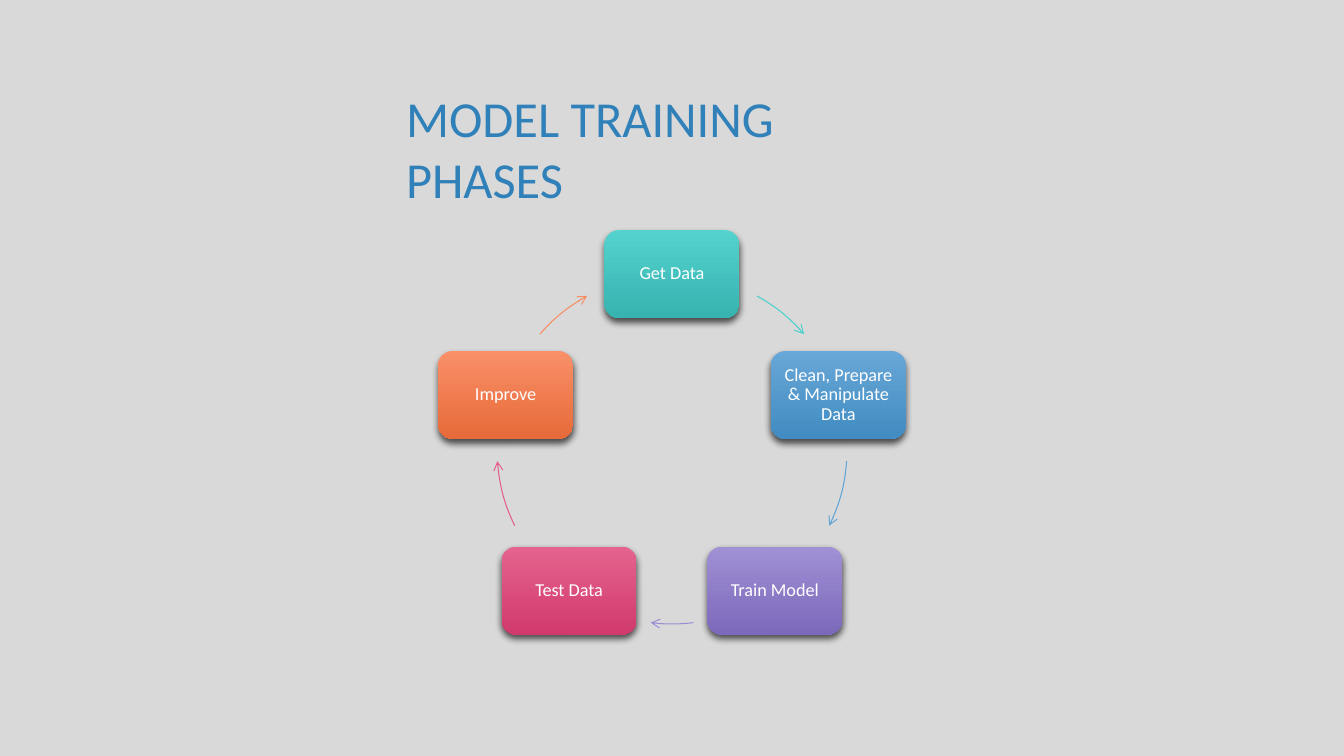
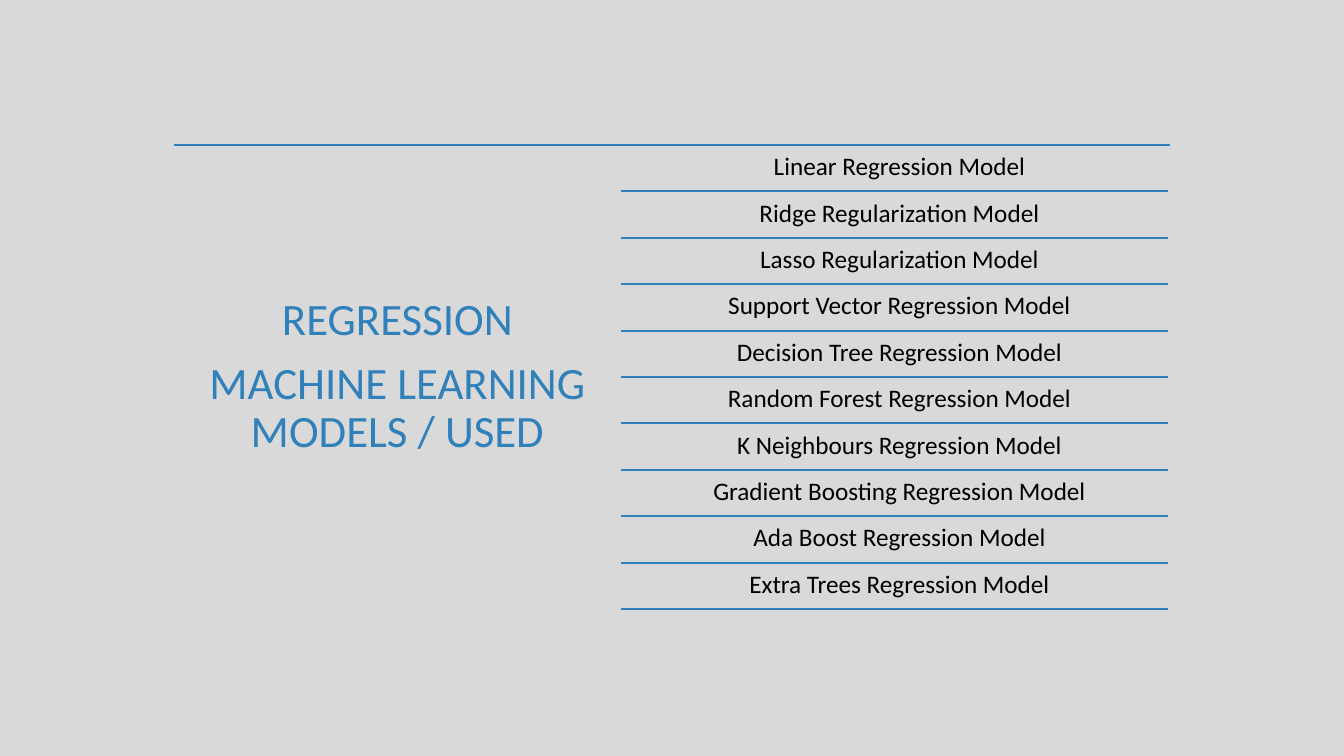
import math

from lxml import etree
from pptx import Presentation
from pptx import util as u
from pptx.dml.color import RGBColor
from pptx.enum import shapes, text
from pptx.oxml.ns import qn

EMU_PER_PX = 914400 / 100.8
SLIDE_W, SLIDE_H = 1344, 756
FONT = "Calibri"

BACKGROUND = RGBColor(0xD9, 0xD9, 0xD9)
ACCENT = RGBColor(0x30, 0x80, 0xB9)
BLACK = RGBColor(0x00, 0x00, 0x00)
WHITE = RGBColor(0xFF, 0xFF, 0xFF)

TEAL = RGBColor(0x53, 0xD2, 0xCE), RGBColor(0x37, 0xB3, 0xB0), RGBColor(0x49, 0xD1, 0xCD)
BLUE = RGBColor(0x68, 0xA7, 0xD7), RGBColor(0x41, 0x8C, 0xC2), RGBColor(0x61, 0xA5, 0xD6)
PURPLE = RGBColor(0xA0, 0x90, 0xD4), RGBColor(0x7D, 0x69, 0xBB), RGBColor(0x9D, 0x8C, 0xD3)
PINK = RGBColor(0xE5, 0x63, 0x8E), RGBColor(0xD1, 0x3A, 0x6D), RGBColor(0xE4, 0x5C, 0x8A)
ORANGE = RGBColor(0xF9, 0x90, 0x68), RGBColor(0xE7, 0x6A, 0x39), RGBColor(0xF9, 0x8C, 0x61)

# Label, (gradient top, gradient bottom, arrow), arrow start and end in degrees
PHASES = [
    ("Get Data", TEAL, (299, 319)),
    ("Clean, Prepare & Manipulate Data", BLUE, (4, 26)),
    ("Train Model", PURPLE, (83, 97)),
    ("Test Data", PINK, (154, 176)),
    ("Improve", ORANGE, (221, 241)),
]
MODELS = [
    "Linear Regression Model",
    "Ridge Regularization Model",
    "Lasso Regularization Model",
    "Support Vector Regression Model",
    "Decision Tree Regression Model",
    "Random Forest Regression Model",
    "K Neighbours Regression Model",
    "Gradient Boosting Regression Model",
    "Ada Boost Regression Model",
    "Extra Trees Regression Model",
]


def px(n):
    return u.Emu(round(n * EMU_PER_PX))


def add_slide(prs):
    slide = prs.slides.add_slide(prs.slide_layouts[6])
    slide.background.fill.solid()
    slide.background.fill.fore_color.rgb = BACKGROUND
    return slide


def write(sp, lines, size, color, inset, anchor=text.MSO_ANCHOR.MIDDLE,
          align=text.PP_ALIGN.CENTER, spacing=0.9):
    """Fill a shape with paragraphs that share one style."""
    tf = sp.text_frame
    tf.word_wrap = True
    tf.vertical_anchor = anchor
    tf.margin_left = tf.margin_right = tf.margin_top = tf.margin_bottom = px(inset)
    tf.text = "\n".join(lines)
    for p in tf.paragraphs:
        p.alignment = align
        p.line_spacing = spacing
        p.space_after = u.Pt(round(size * 0.35))
        p.font.name = FONT
        p.font.size = u.Pt(size)
        p.font.color.rgb = color


def add_text(slide, box, lines, size, color, inset, **style):
    sp = slide.shapes.add_textbox(*map(px, box))
    write(sp, lines, size, color, inset, **style)


def add_rule(slide, x1, x2, y):
    line = slide.shapes.add_connector(
        shapes.MSO_CONNECTOR.STRAIGHT, px(x1), px(y), px(x2), px(y))
    line.line.color.rgb = ACCENT
    line.line.width = u.Pt(1.5)
    etree.SubElement(line.element.spPr, qn("a:effectLst"))


def add_drop_shadow(sp):
    sp.shadow.inherit = False
    effects = sp.element.spPr.find(qn("a:effectLst"))
    shadow = etree.SubElement(
        effects, qn("a:outerShdw"), blurRad=str(u.Pt(5)), dist=str(u.Pt(3)),
        dir="5400000", algn="ctr", rotWithShape="0")
    black = etree.SubElement(shadow, qn("a:srgbClr"), val=str(BLACK))
    etree.SubElement(black, qn("a:alpha"), val="65000")


def add_node(slide, cx, cy, label, top, bottom, w=135, h=88):
    sp = slide.shapes.add_shape(
        shapes.MSO_SHAPE.ROUNDED_RECTANGLE,
        px(cx - w / 2), px(cy - h / 2), px(w), px(h))
    sp.fill.gradient()
    sp.fill.gradient_angle = 270
    for stop, color, position in zip(sp.fill.gradient_stops, (top, bottom), (0, 1)):
        stop.color.rgb = color
        stop.position = position
    sp.line.fill.background()
    add_drop_shadow(sp)
    write(sp, [label], 13, WHITE, 5)


def add_arc_arrow(slide, box, angles, color):
    """Draw a clockwise arrow along the circle inscribed in the box."""
    sp = slide.shapes.add_shape(shapes.MSO_SHAPE.ARC, *map(px, box))
    for i, degrees in enumerate(angles):
        sp.adjustments[i] = degrees * 0.6
    sp.fill.background()
    sp.line.color.rgb = color
    sp.line.width = u.Pt(0.75)
    sp.shadow.inherit = False
    etree.SubElement(sp.element.spPr.find(qn("a:ln")), qn("a:tailEnd"), type="arrow")


def add_cycle(slide, box):
    """Space the phases evenly on the circle inscribed in the box."""
    x, y, size, _ = box
    radius = size / 2
    for i, (label, (top, bottom, arrow), angles) in enumerate(PHASES):
        turn = math.tau * i / len(PHASES)
        add_node(slide, x + radius + radius * math.sin(turn),
                 y + radius - radius * math.cos(turn), label, top, bottom)
        add_arc_arrow(slide, box, angles, arrow)


def add_model_list(slide, box, heading_w=447):
    """Put a heading on the left and ruled rows on the right."""
    x, y, w, h = box
    row_h = h / len(MODELS)
    rows_x, right = x + heading_w, x + w
    add_rule(slide, x, right, y)
    add_text(slide, (x, y, heading_w, h),
             ["REGRESSION", "MACHINE LEARNING MODELS / USED"], 32, ACCENT, 13)
    for i, model in enumerate(MODELS):
        top = y + i * row_h
        add_text(slide, (rows_x + 10, top + 2, right - rows_x - 12, row_h - 2),
                 [model], 18, BLACK, 7, anchor=text.MSO_ANCHOR.TOP)
        add_rule(slide, rows_x, right - 2, top + row_h)


def main():
    prs = Presentation()
    prs.slide_width, prs.slide_height = px(SLIDE_W), px(SLIDE_H)

    phases = add_slide(prs)
    add_text(phases, (396, 104, 540, 88), ["MODEL TRAINING PHASES"], 36, ACCENT, 10,
             align=text.PP_ALIGN.LEFT, spacing=1.0)
    add_cycle(phases, (497, 274, 350, 350))

    models = add_slide(prs)
    add_model_list(models, (174, 145, 996, 464))

    prs.save("out.pptx")


if __name__ == "__main__":
    main()
